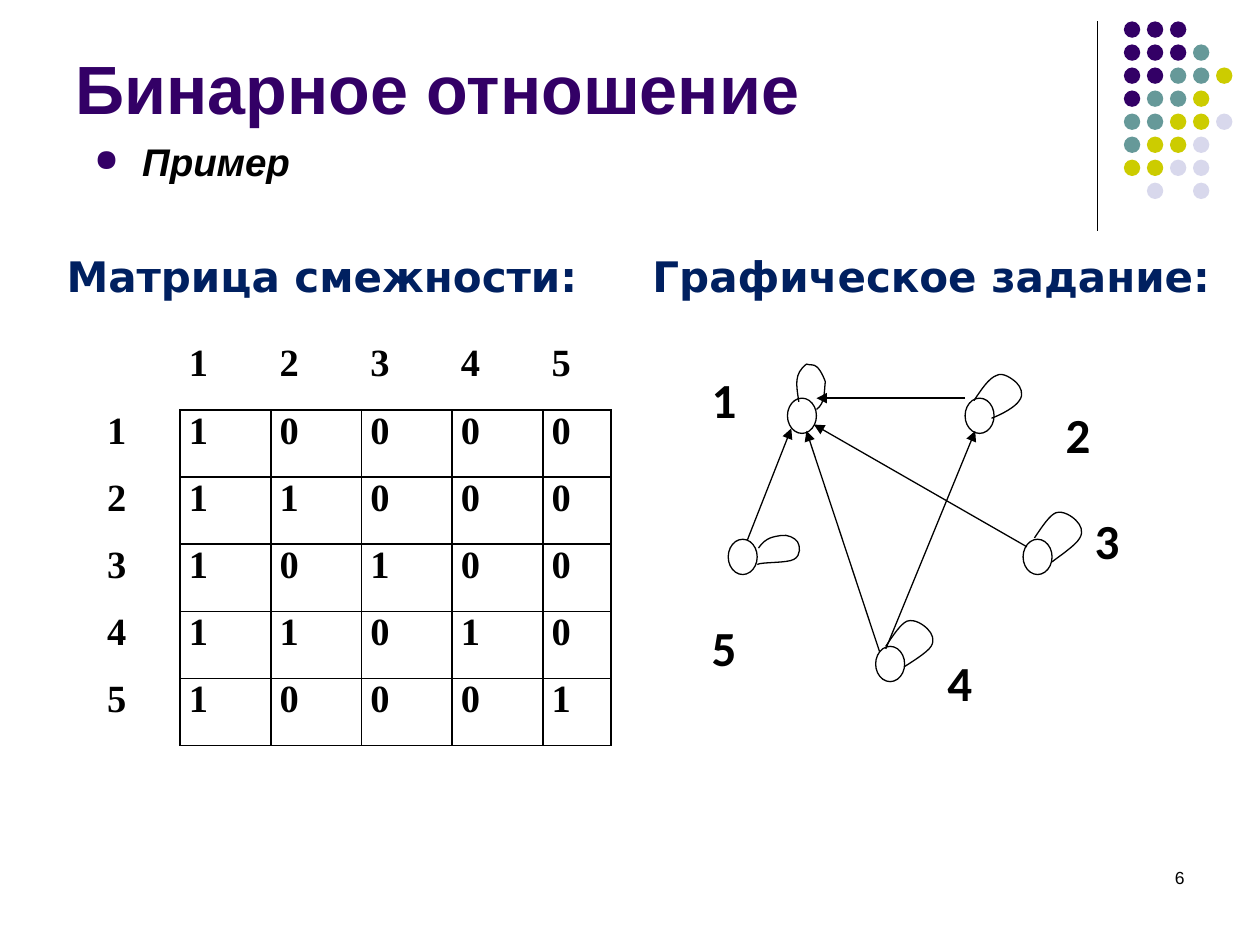
"""Builds the slide on binary relations: adjacency matrix and directed graph."""
from lxml import etree
from pptx import Presentation
from pptx.dml.color import RGBColor
from pptx.enum import shapes as kinds, text as align
from pptx.oxml import ns
from pptx.util import Inches, Pt

BLACK = RGBColor(0x00, 0x00, 0x00)
WHITE = RGBColor(0xFF, 0xFF, 0xFF)
PURPLE = RGBColor(0x33, 0x00, 0x66)
TEAL = RGBColor(0x66, 0x99, 0x99)
OLIVE = RGBColor(0xCC, 0xCC, 0x00)
LILAC = RGBColor(0xD8, 0xD8, 0xEC)
NAVY = RGBColor(0x00, 0x20, 0x60)

DOT_COLORS = {"P": PURPLE, "T": TEAL, "O": OLIVE, "L": LILAC}
DOT_ROWS = ["PPP", "PPPT", "PPTTO", "PTTO", "TTOOL", "TOOL", "OOLL", " L L"]
DOT_PITCH = 1.28 / 7

MATRIX = ["10000", "11000", "10100", "11010", "10001"]
COLUMN_WIDTHS = [0.65, 0.72, 0.72, 0.72, 0.72, 0.54]
MATRIX_HEIGHT = 3.2

NODES = [(6.25, 3.16), (7.66, 3.16), (5.78, 4.28), (8.12, 4.28), (6.95, 5.13)]
NODE_LABELS = [
    ("1", 5.55, 2.88, 0.47, 0.56),
    ("5", 5.55, 4.85, 0.7, 0.56),
    ("2", 8.36, 3.16, 0.47, 0.56),
    ("3", 8.59, 4, 0.7, 0.84),
    ("4", 7.42, 5.13, 0.7, 0.56),
]
EDGES = [
    (7.66, 3.16, 6.48, 3.16),
    (8.15, 4.34, 6.46, 3.37),
    (5.93, 4.29, 6.28, 3.4),
    (6.98, 5.17, 6.4, 3.42),
    (7.03, 5.15, 7.74, 3.42),
]
FIRST_LOOP = [
    (6.34, 3.19), (6.32, 3.05), (6.3, 2.97), (6.4, 2.89), (6.43, 2.9), (6.46, 2.89), (6.48, 2.91),
    (6.52, 2.94), (6.55, 3.03), (6.55, 3.03), (6.54, 3.11), (6.55, 3.2), (6.48, 3.25)]
OTHER_LOOPS = [
    [(8.21, 4.27), (8.27, 4.18), (8.33, 4.09), (8.38, 4.07), (8.44, 4.05), (8.51, 4.1), (8.54, 4.13),
     (8.58, 4.17), (8.6, 4.22), (8.57, 4.27), (8.54, 4.33), (8.37, 4.44), (8.35, 4.46)],
    [(7.03, 5.13), (7.09, 5.04), (7.15, 4.95), (7.2, 4.93), (7.26, 4.91), (7.33, 4.96), (7.36, 4.99),
     (7.4, 5.03), (7.42, 5.08), (7.39, 5.13), (7.36, 5.18), (7.21, 5.27), (7.18, 5.29)],
    [(7.73, 3.18), (7.79, 3.09), (7.85, 3), (7.91, 2.98), (7.96, 2.95), (8.04, 3.01), (8.07, 3.04),
     (8.1, 3.07), (8.13, 3.13), (8.09, 3.18), (8.06, 3.23), (7.95, 3.29), (7.87, 3.32)],
    [(6.02, 4.35), (6.08, 4.26), (6.15, 4.26), (6.2, 4.25), (6.25, 4.24), (6.31, 4.27), (6.33, 4.3),
     (6.35, 4.33), (6.36, 4.41), (6.3, 4.44), (6.25, 4.47), (6.04, 4.46), (6.01, 4.48)],
]


def write(frame, wording, size, font, color, bold=True, italic=False):
    """Put one left-aligned, formatted paragraph into a text frame."""
    frame.word_wrap = True
    paragraph = frame.paragraphs[0]
    paragraph.text = wording
    paragraph.alignment = align.PP_ALIGN.LEFT
    style = paragraph.runs[0].font
    style.size, style.name, style.bold, style.italic = Pt(size), font, bold, italic
    style.color.rgb = color


def add_text(slide, box, wording, size, font, color, **emphasis):
    """Add a text box and return its frame."""
    frame = slide.shapes.add_textbox(*map(Inches, box)).text_frame
    write(frame, wording, size, font, color, **emphasis)
    return frame


def hang(paragraph, depth):
    """Give a paragraph a hanging indent and return its properties."""
    properties = paragraph._p.get_or_add_pPr()
    properties.set("marL", str(Inches(depth)))
    properties.set("indent", str(-Inches(depth)))
    return properties


def add_bullet(paragraph, mark, color):
    """Put a coloured bullet before a paragraph."""
    properties = hang(paragraph, 0.38)
    tint = etree.SubElement(properties, ns.qn("a:buClr"))
    etree.SubElement(tint, ns.qn("a:srgbClr"), val=str(color))
    etree.SubElement(properties, ns.qn("a:buSzPct"), val="80000")
    etree.SubElement(properties, ns.qn("a:buChar"), char=mark)


def add_filled(parent, kind, box, fill, outlined=False):
    """Add a preset shape with a plain fill and an optional thin outline."""
    shape = parent.shapes.add_shape(kind, *map(Inches, box))
    shape.shadow.inherit = False
    shape.fill.solid()
    shape.fill.fore_color.rgb = fill
    if outlined:
        outline(shape.line)
    else:
        shape.line.fill.background()
    return shape


def outline(line):
    """Make a line thin and black."""
    line.color.rgb = BLACK
    line.width = Pt(0.75)


def add_line(parent, ends, arrow=False):
    """Add a straight line, with an arrowhead at its end if wanted."""
    line = parent.shapes.add_connector(kinds.MSO_CONNECTOR.STRAIGHT, *map(Inches, ends))
    outline(line.line)
    if arrow:
        etree.SubElement(line.line._get_or_add_ln(), ns.qn("a:tailEnd"), type="triangle")
    etree.SubElement(line._element.spPr, ns.qn("a:effectLst"))


def bend(freeform):
    """Turn every three straight segments of a freeform into one cubic curve."""
    segments = list(freeform._element.iter(ns.qn("a:lnTo")))
    for first in range(0, len(segments), 3):
        curve = etree.Element(ns.qn("a:cubicBezTo"))
        segments[first].addprevious(curve)
        for segment in segments[first:first + 3]:
            curve.append(segment[0])
            segment.getparent().remove(segment)


def add_loop(parent, controls):
    """Draw an open curved loop at a graph node."""
    start, *rest = [(Inches(x), Inches(y)) for x, y in controls]
    builder = parent.shapes.build_freeform(*start)
    builder.add_line_segments(rest, close=False)
    loop = builder.convert_to_shape()
    bend(loop)
    loop.shadow.inherit = False
    loop.fill.background()
    outline(loop.line)


def set_borders(cell, visible):
    """Draw the named sides of a cell in black and hide the others."""
    properties = cell._tc.get_or_add_tcPr()
    for position, side in enumerate("LRTB"):
        border = etree.Element(ns.qn(f"a:ln{side}"), w=str(Pt(1)))
        if side in visible:
            solid = etree.SubElement(border, ns.qn("a:solidFill"))
            etree.SubElement(solid, ns.qn("a:srgbClr"), val=str(BLACK))
        else:
            etree.SubElement(border, ns.qn("a:noFill"))
        properties.insert(position, border)


def add_matrix(slide):
    """Add the adjacency matrix with its row and column numbers."""
    rows = [" 12345"] + [f"{number}{values}" for number, values in enumerate(MATRIX, 1)]
    box = (0.78, 2.72, sum(COLUMN_WIDTHS), MATRIX_HEIGHT)
    table = slide.shapes.add_table(len(rows), len(COLUMN_WIDTHS), *map(Inches, box)).table
    table.first_row = table.horz_banding = False
    for column, width in zip(table.columns, COLUMN_WIDTHS):
        column.width = Inches(width)
    for r, values in enumerate(rows):
        for c, value in enumerate(values):
            cell = table.cell(r, c)
            cell.margin_left = cell.margin_right = Inches(0.07)
            cell.margin_top = cell.margin_bottom = 0
            cell.fill.background()
            if r and c:
                set_borders(cell, "LRTB")
            else:
                set_borders(cell, "R" if r else "B" if c else "")
            if value.strip():
                write(cell.text_frame, value, 22, "Times New Roman", BLACK)


def add_dots(slide):
    """Add the corner pattern of coloured dots."""
    pattern = slide.shapes.add_group_shape()
    for r, row in enumerate(DOT_ROWS):
        for c, code in enumerate(row):
            if code in DOT_COLORS:
                box = (8.92 + c * DOT_PITCH, 0.17 + r * DOT_PITCH, 0.13, 0.13)
                add_filled(pattern, kinds.MSO_SHAPE.OVAL, box, DOT_COLORS[code])


def add_graph(slide):
    """Add the nodes, numbers and arrows of the graph."""
    graph = slide.shapes.add_group_shape()
    for node in NODES:
        add_filled(graph, kinds.MSO_SHAPE.OVAL, (*node, 0.23, 0.28), WHITE, outlined=True)
    for number, *box in NODE_LABELS:
        label = add_filled(graph, kinds.MSO_SHAPE.RECTANGLE, box, WHITE)
        label.text_frame.vertical_anchor = align.MSO_ANCHOR.TOP
        write(label.text_frame, number, 28, "Calibri", BLACK)
    add_loop(graph, FIRST_LOOP)
    for ends in EDGES:
        add_line(graph, ends, arrow=True)


def main():
    """Build and save the slide."""
    deck = Presentation()
    deck.slide_width, deck.slide_height = Inches(10), Inches(7.5)
    slide = deck.slides.add_slide(deck.slide_layouts[6])
    add_line(slide, (8.71, 0.17, 8.71, 1.83))
    add_dots(slide)
    page = add_text(slide, (7.17, 6.83, 2.33, 0.5), "6", 10, "Arial", BLACK, bold=False)
    page.paragraphs[0].alignment = align.PP_ALIGN.RIGHT
    matrix_heading = add_text(slide, (0.43, 1.94, 4.77, 0.63), "Матрица смежности:", 24, "DejaVu Sans", NAVY)
    hang(matrix_heading.paragraphs[0], 0.38)
    add_graph(slide)
    add_matrix(slide)
    add_text(slide, (5.08, 1.94, 4.72, 0.5), "Графическое задание:", 24, "DejaVu Sans", NAVY)
    for controls in OTHER_LOOPS:
        add_loop(slide, controls)
    title = add_text(slide, (0.5, 0.13, 8.25, 0.94), "Бинарное отношение", 39, "Arial", PURPLE)
    title.vertical_anchor = align.MSO_ANCHOR.BOTTOM
    example = add_text(slide, (0.65, 1.09, 2.15, 0.4), "Пример", 22, "Arial", BLACK, italic=True)
    example.paragraphs[0].line_spacing = 0.9
    add_bullet(example.paragraphs[0], "●", PURPLE)
    deck.save("out.pptx")


if __name__ == "__main__":
    main()
